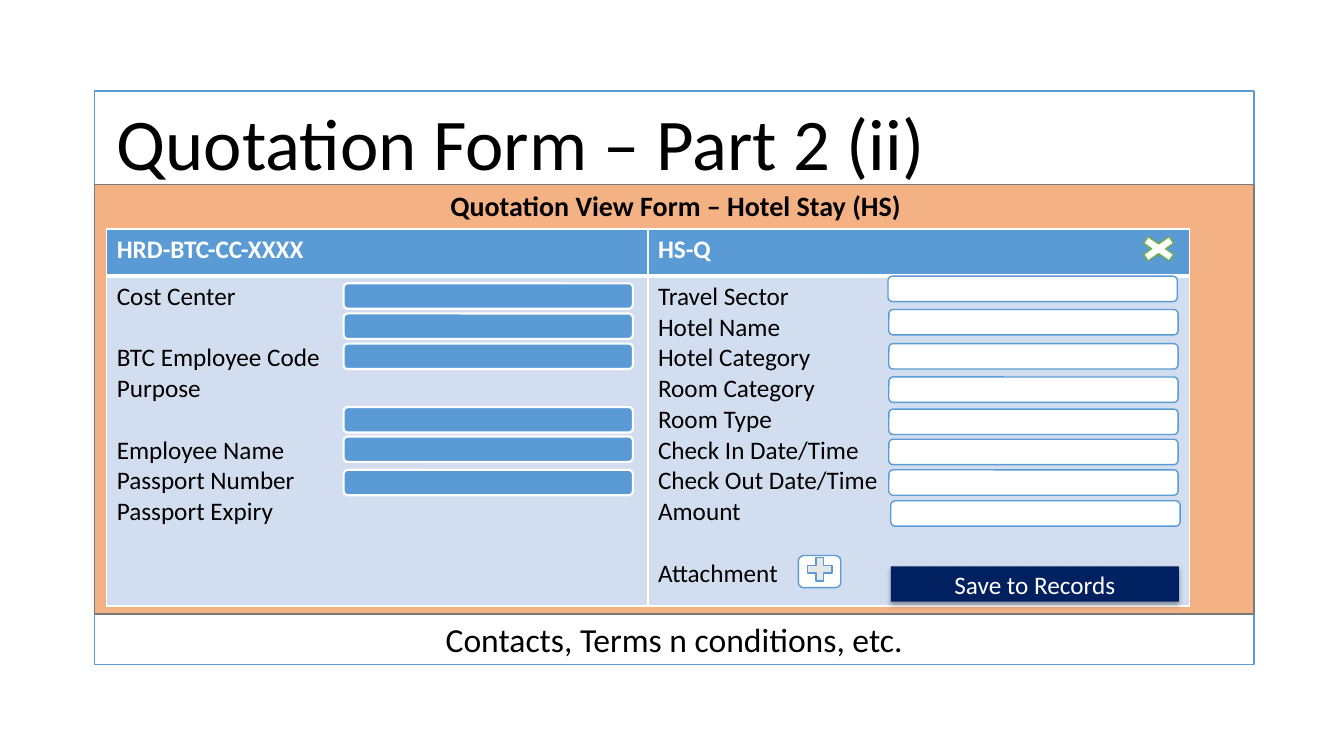
from dataclasses import dataclass

from lxml.etree import SubElement
from pptx import Presentation
from pptx.dml.color import RGBColor
from pptx.enum.shapes import MSO_SHAPE
from pptx.enum.text import MSO_ANCHOR, PP_ALIGN
from pptx.oxml.ns import qn
from pptx.util import Cm, Pt


@dataclass(frozen=True)
class Theme:
    font: str = "Calibri"
    black: str = "000000"
    white: str = "FFFFFF"
    blue: str = "5B9BD5"
    pale_blue: str = "D2DEEF"
    navy: str = "002060"
    orange: str = "F4B183"
    grey: str = "7A7A7A"
    light_grey: str = "E7E6E6"
    green: str = "70AD47"
    title_size: int = 52
    footer_size: int = 24
    heading_size: int = 20
    body_size: int = 18


THEME = Theme()
LINE_GAP = 22  # one line of body text, in points
FIELD_WIDTH, FIELD_HEIGHT = 7.29, 0.64

# Field labels, each with the space before it in points
EMPLOYEE_LABELS = [
    ("Cost Center", 0),
    ("BTC Employee Code", LINE_GAP),
    ("Purpose", 0),
    ("Employee Name", LINE_GAP),
    ("Passport Number", 0),
    ("Passport Expiry", 0),
]
HOTEL_LABELS = [
    ("Travel Sector", 0),
    ("Hotel Name", 0),
    ("Hotel Category", 0),
    ("Room Category", 0),
    ("Room Type", 0),
    ("Check In Date/Time", 0),
    ("Check Out Date/Time", 0),
    ("Amount", 0),
    ("Attachment", LINE_GAP),
]

# Field positions (left, top) in centimetres
EMPLOYEE_FIELDS = [(8.66, top) for top in (7.14, 7.9, 8.66, 10.26, 11, 11.84)]
HOTEL_FIELDS = [
    (22.38, 6.96),
    *[(22.4, top) for top in (7.8, 8.66, 9.5, 10.31, 11.07, 11.84)],
    (22.45, 12.62),
]


def set_attributes(target, values):
    for name, value in values.items():
        setattr(target, name, value)


def write_paragraph(paragraph, text, size, color, bold=False, align=PP_ALIGN.LEFT, before=0):
    paragraph.text = text
    set_attributes(paragraph, {"alignment": align, "space_before": Pt(before)})
    font = paragraph.runs[0].font
    set_attributes(font, {"name": THEME.font, "size": Pt(size), "bold": bold})
    font.color.rgb = RGBColor.from_string(color)


def add_box(slide, kind, left, top, width, height, fill, line=None, weight=1):
    shape = slide.shapes.add_shape(kind, Cm(left), Cm(top), Cm(width), Cm(height))
    shape.shadow.inherit = False
    shape.fill.solid()
    shape.fill.fore_color.rgb = RGBColor.from_string(fill)
    if line:
        shape.line.color.rgb = RGBColor.from_string(line)
        shape.line.width = Pt(weight)
    else:
        shape.line.fill.background()
    return shape


def add_label(slide, left, top, width, height, text, size, **style):
    label = slide.shapes.add_textbox(Cm(left), Cm(top), Cm(width), Cm(height))
    label.text_frame.word_wrap = True
    write_paragraph(label.text_frame.paragraphs[0], text, size, THEME.black, **style)


def add_fields(slide, positions, fill, line, weight):
    for left, top in positions:
        add_box(slide, MSO_SHAPE.ROUNDED_RECTANGLE, left, top,
                FIELD_WIDTH, FIELD_HEIGHT, fill, line, weight)


def add_button(slide, left, top, width, height, text):
    button = add_box(slide, MSO_SHAPE.RECTANGLE, left, top, width, height, THEME.navy)
    button.text_frame.vertical_anchor = MSO_ANCHOR.MIDDLE
    write_paragraph(button.text_frame.paragraphs[0], text, THEME.body_size,
                    THEME.white, align=PP_ALIGN.CENTER)
    effects = button._element.spPr.find(qn("a:effectLst"))
    shadow = SubElement(effects, qn("a:outerShdw"), blurRad=str(Pt(3.5)),
                        dist=str(Pt(2.2)), dir="5400000", rotWithShape="0")
    color = SubElement(shadow, qn("a:srgbClr"), val=THEME.black)
    SubElement(color, qn("a:alpha"), val="32000")


def format_cell(cell, fill, top_border, bottom_border):
    borders = {"lnL": 1, "lnR": 1, "lnT": top_border, "lnB": bottom_border}
    properties = cell._tc.get_or_add_tcPr()
    for tag, weight in borders.items():
        border = SubElement(properties, qn(f"a:{tag}"), w=str(Pt(weight)))
        solid = SubElement(border, qn("a:solidFill"))
        SubElement(solid, qn("a:srgbClr"), val=THEME.white)
    cell.fill.solid()
    cell.fill.fore_color.rgb = RGBColor.from_string(fill)


def add_form_table(slide, left, top, column_width, row_heights, columns):
    width, height = column_width * len(columns), sum(row_heights)
    table = slide.shapes.add_table(len(row_heights), len(columns), Cm(left), Cm(top),
                                   Cm(width), Cm(height)).table
    for row, row_height in zip(table.rows, row_heights):
        row.height = Cm(row_height)
    for index, (header, labels) in enumerate(columns):
        table.columns[index].width = Cm(column_width)
        header_cell, body_cell = table.cell(0, index), table.cell(1, index)
        format_cell(header_cell, THEME.blue, 1, 3)
        format_cell(body_cell, THEME.pale_blue, 3, 1)
        write_paragraph(header_cell.text_frame.paragraphs[0], header,
                        THEME.body_size, THEME.white, bold=True)
        frame = body_cell.text_frame
        for number, (text, before) in enumerate(labels):
            paragraph = frame.add_paragraph() if number else frame.paragraphs[0]
            write_paragraph(paragraph, text, THEME.body_size, THEME.black, before=before)


def main():
    presentation = Presentation()
    set_attributes(presentation, {"slide_width": Cm(33.87), "slide_height": Cm(19.05)})
    slide = presentation.slides.add_slide(presentation.slide_layouts[6])

    # Page frame with title and footer
    add_box(slide, MSO_SHAPE.RECTANGLE, 2.39, 2.29, 29.21, 14.45, THEME.white, THEME.blue)
    add_box(slide, MSO_SHAPE.RECTANGLE, 2.39, 4.65, 29.21, 10.82, THEME.orange, THEME.grey)
    add_label(slide, 2.69, 2.34, 28.24, 2.49, "Quotation Form – Part 2 (ii)", THEME.title_size)
    add_label(slide, 2.36, 15.47, 29.26, 1.27, "Contacts, Terms n conditions, etc.",
              THEME.footer_size, align=PP_ALIGN.CENTER)

    # Form table with heading and close mark
    add_form_table(slide, 2.69, 5.77, 13.64, (1.19, 8.31),
                   [("HRD-BTC-CC-XXXX", EMPLOYEE_LABELS), ("HS-Q", HOTEL_LABELS)])
    add_label(slide, 11.1, 4.62, 12.17, 1.12, "Quotation View Form – Hotel Stay (HS)",
              THEME.heading_size, bold=True)
    add_box(slide, MSO_SHAPE.MATH_MULTIPLY, 28.58, 5.84, 1.24, 0.86, THEME.white, THEME.green)

    # Entry fields
    add_fields(slide, EMPLOYEE_FIELDS, THEME.blue, THEME.white, 1.5)
    add_fields(slide, HOTEL_FIELDS, THEME.white, THEME.blue, 1)

    # Attachment and save buttons
    add_box(slide, MSO_SHAPE.ROUNDED_RECTANGLE, 20.12, 14, 1.07, 0.81, THEME.white, THEME.blue)
    add_box(slide, MSO_SHAPE.MATH_PLUS, 20.24, 13.94, 0.84, 0.81, THEME.light_grey, THEME.blue)
    add_button(slide, 22.45, 14.27, 7.26, 0.89, "Save to Records")

    presentation.save("out.pptx")


if __name__ == "__main__":
    main()
